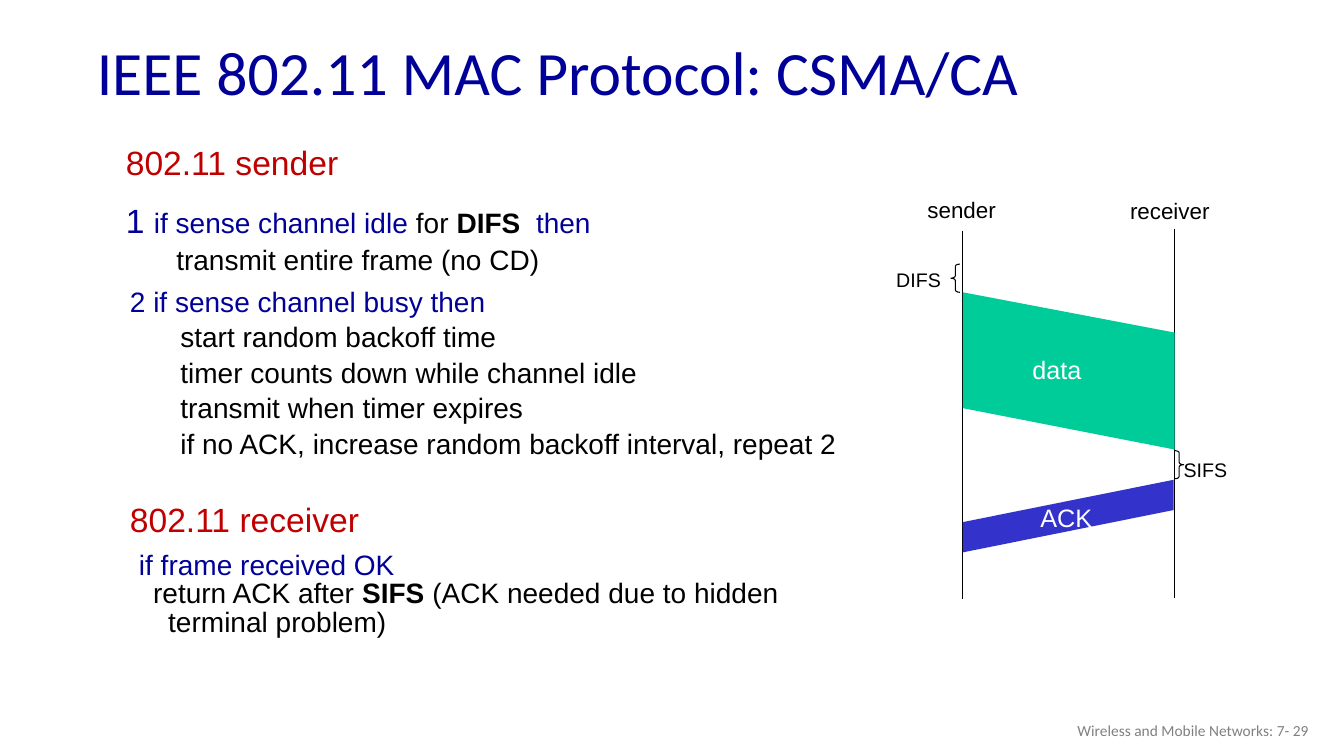
from lxml import etree
from pptx import Presentation
from pptx.dml.color import RGBColor
from pptx.enum import shapes, text
from pptx.oxml import ns
from pptx.util import Inches, Pt

NAVY = RGBColor(0x00, 0x00, 0x99)
RED = RGBColor(0xC0, 0x00, 0x00)
BLACK = RGBColor(0x00, 0x00, 0x00)
WHITE = RGBColor(0xFF, 0xFF, 0xFF)
GRAY = RGBColor(0x80, 0x80, 0x80)
GREEN = RGBColor(0x00, 0xCC, 0x99)
BLUE = RGBColor(0x33, 0x33, 0xCC)

SENDER_X, RECEIVER_X = 9.55, 11.65
STEP_INDENT = (0.81, -0.31)

# A span is (words, size, colour, bold).
# A paragraph is (spans, level, (margin, first-line indent), space before, space after).
SENDER_IDLE = [
    ([("802.11 sender", 24, RED, False)], 0, (0.38, -0.38), 0, 12),
    ([("1 ", 24, NAVY, False), ("if sense channel idle", 20, NAVY, False),
      (" for ", 20, BLACK, False), ("DIFS  ", 20, BLACK, True),
      ("then", 20, NAVY, False)], 0, (0.38, -0.38), 5, 0),
    ([("transmit entire frame (no CD)", 20, BLACK, False)], 1, STEP_INDENT, 5, 0),
]
BUSY_STEPS = [
    "start random backoff time",
    "timer counts down while channel idle",
    "transmit when timer expires",
    "if no ACK, increase random backoff interval, repeat 2",
]
SENDER_BUSY = [
    ([("2 if sense channel busy then", 20, NAVY, False)], 0, (0.38, -0.38), 0, 0),
] + [([(step, 20, BLACK, False)], 1, STEP_INDENT, 5, 0) for step in BUSY_STEPS]
RECEIVER = [
    ([("802.11 receiver", 24, RED, False)], 0, (0.38, -0.38), 0, 9.5),
    ([("if frame received OK", 20, NAVY, False)], 0, (0.38, -0.29), 0, 0),
    ([("return ACK after ", 20, BLACK, False), ("SIFS ", 20, BLACK, True),
      ("(ACK needed due to hidden terminal problem)", 20, BLACK, False)],
     0, (0.38, -0.15), 0, 0),
]


def add_span(para, words, size, color, bold=False, font="Arial"):
    span = para.add_run()
    span.text = words
    span.font.name = font
    span.font.size = Pt(size)
    span.font.bold = bold
    span.font.color.rgb = color


def set_title(page, words):
    title = page.shapes.title
    title.left, title.top = Inches(0.86), Inches(0.26)
    title.width, title.height = Inches(11.5), Inches(0.98)
    title.text_frame.vertical_anchor = text.MSO_ANCHOR.MIDDLE
    para = title.text_frame.paragraphs[0]
    para.alignment = text.PP_ALIGN.LEFT
    para.line_spacing = 0.9
    add_span(para, words, 44, NAVY, font="Calibri")


def add_box(page, left, top, width, height, wrap=True):
    box = page.shapes.add_textbox(Inches(left), Inches(top), Inches(width), Inches(height))
    box.text_frame.word_wrap = wrap
    return box.text_frame


def add_outline(page, left, top, height, paragraphs):
    frame = add_box(page, left, top, 7.31, height)
    for index, (spans, level, (margin, indent), before, after) in enumerate(paragraphs):
        para = frame.add_paragraph() if index else frame.paragraphs[0]
        para.level = level
        para.line_spacing = 0.85
        para.space_before, para.space_after = Pt(before), Pt(after)
        properties = para._p.get_or_add_pPr()
        properties.set("marL", str(Inches(margin)))
        properties.set("indent", str(Inches(indent)))
        for span in spans:
            add_span(para, *span)


def add_label(page, words, left, top, width, height, size, color=BLACK):
    frame = add_box(page, left, top, width, height, wrap=False)
    frame.auto_size = text.MSO_AUTO_SIZE.SHAPE_TO_FIT_TEXT
    add_span(frame.paragraphs[0], words, size, color)


def add_footer(page, words):
    frame = add_box(page, 10.08, 7.05, 3, 0.4)
    frame.vertical_anchor = text.MSO_ANCHOR.MIDDLE
    frame.paragraphs[0].alignment = text.PP_ALIGN.RIGHT
    add_span(frame.paragraphs[0], words, 11, GRAY, font="Calibri")


def add_timeline(page, x, top, bottom):
    line = page.shapes.add_connector(
        shapes.MSO_CONNECTOR.STRAIGHT, Inches(x), Inches(top), Inches(x), Inches(bottom))
    line.line.color.rgb = BLACK
    line.line.width = Pt(0.75)
    etree.SubElement(line._element.spPr, ns.qn("a:effectLst"))


def add_brace(page, kind, left, top):
    brace = page.shapes.add_shape(kind, Inches(left), Inches(top), Inches(0.09), Inches(0.28))
    brace.adjustments[0] = 0.25
    brace.shadow.inherit = False
    brace.fill.background()
    brace.line.color.rgb = BLACK
    brace.line.width = Pt(0.75)


def add_frame_band(page, corners, color):
    """Draw a frame in transit between the two timelines."""
    points = [(Inches(x), Inches(y)) for x, y in corners]
    builder = page.shapes.build_freeform(*points[0])
    builder.add_line_segments(points[1:], close=True)
    band = builder.convert_to_shape()
    band.shadow.inherit = False
    band.fill.solid()
    band.fill.fore_color.rgb = color
    band.line.fill.background()


def add_exchange(page):
    """Draw the timing diagram of sender and receiver."""
    add_timeline(page, SENDER_X, 2.29, 5.94)
    add_timeline(page, RECEIVER_X, 2.27, 5.93)
    add_label(page, "sender", 9.1, 1.9, 0.91, 0.37, 16)
    add_label(page, "receiver", 11.11, 1.91, 1, 0.37, 16)
    add_brace(page, shapes.MSO_SHAPE.LEFT_BRACE, 9.43, 2.62)
    add_label(page, "DIFS", 8.79, 2.61, 0.65, 0.34, 14)
    add_frame_band(page, [(SENDER_X, 2.9), (RECEIVER_X, 3.3),
                          (RECEIVER_X, 4.46), (SENDER_X, 4.05)], GREEN)
    add_label(page, "data", 10.14, 3.47, 0.69, 0.4, 18, WHITE)
    add_label(page, "SIFS", 11.64, 4.49, 0.64, 0.34, 14)
    add_brace(page, shapes.MSO_SHAPE.RIGHT_BRACE, RECEIVER_X, 4.47)
    add_frame_band(page, [(SENDER_X, 5.48), (11.64, 5.06),
                          (11.64, 4.76), (SENDER_X, 5.18)], BLUE)
    add_label(page, "ACK", 10.22, 4.93, 0.72, 0.4, 18, WHITE)


def main():
    deck = Presentation()
    deck.slide_width, deck.slide_height = Inches(13.33), Inches(7.5)
    page = deck.slides.add_slide(deck.slide_layouts.get_by_name("Title Only"))
    set_title(page, "IEEE 802.11 MAC Protocol: CSMA/CA")
    add_outline(page, 1.15, 1.42, 1.41, SENDER_IDLE)
    add_outline(page, 1.19, 2.82, 1.86, SENDER_BUSY)
    add_outline(page, 1.19, 4.96, 1.86, RECEIVER)
    add_exchange(page)
    add_footer(page, "Wireless and Mobile Networks: 7- 29")
    deck.save("out.pptx")


if __name__ == "__main__":
    main()
